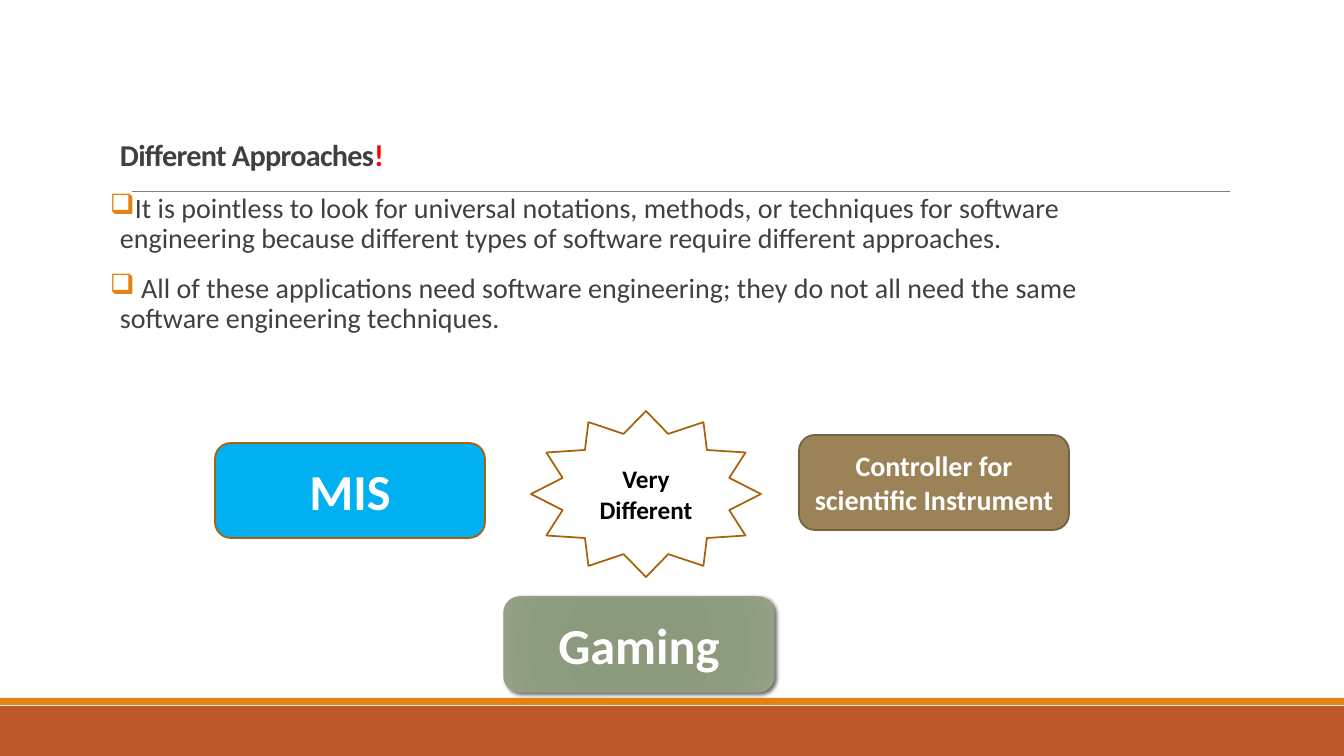
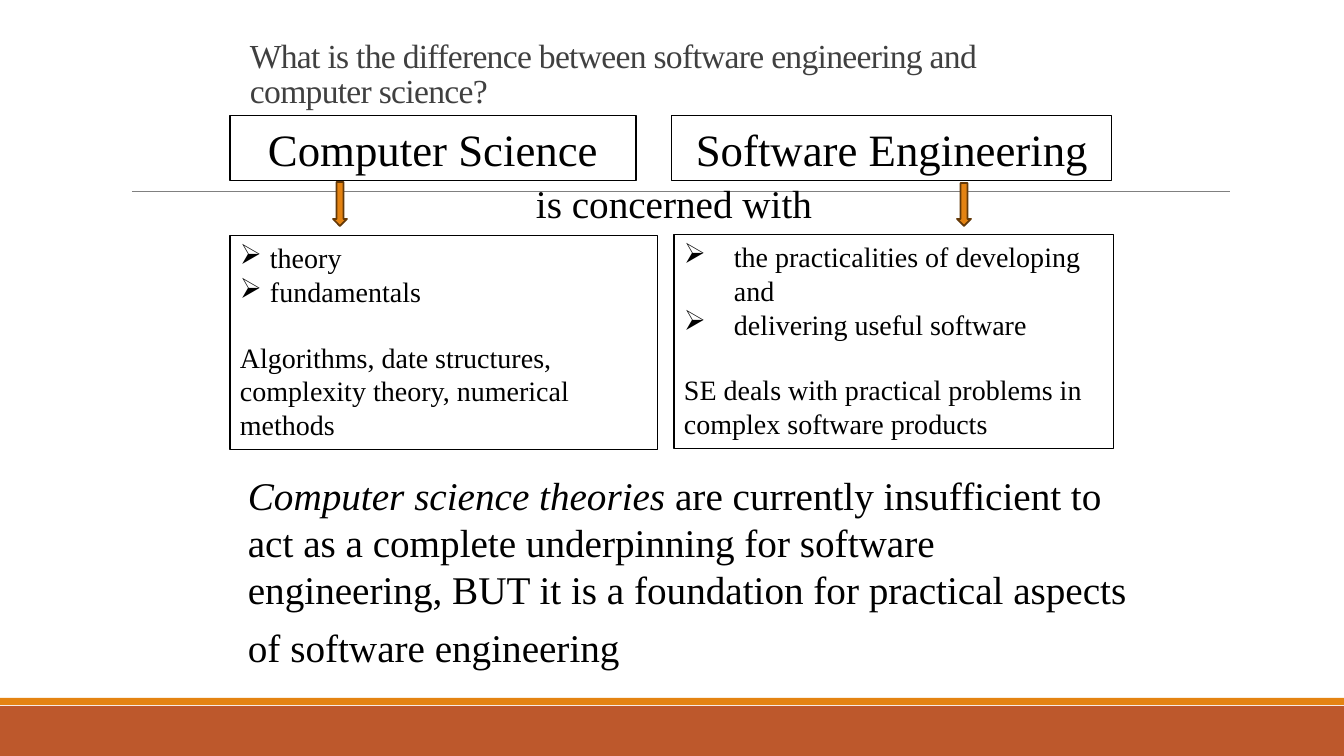
from pptx import Presentation, util as u
from pptx.dml.color import RGBColor
from pptx.enum import shapes, text
from pptx.oxml import parse_xml
from pptx.oxml.ns import nsdecls, qn
from lxml import etree

WIDTH, HEIGHT = 1344, 756
SCALE = u.Inches(40 / 3) / WIDTH
SANS, SERIF = "Calibri", "Times New Roman"
COLORS = {
    "white": "FFFFFF", "black": "000000", "text": "404040", "alert": "FF0000",
    "band": "BD582C", "accent": "E48312", "rule": "808080",
    "outline": "A9610D", "arrow_edge": "643908", "blue": "00B0F0",
    "brown": "9B8357", "brown_edge": "736140", "sage_edge": "94A088",
}
SAGE_STOPS = [(0, "8A987B"), (34, "8B997D"), (70, "8D9C7E"), (100, "94A187")]
SHAPE = shapes.MSO_SHAPE
CENTER = text.PP_ALIGN.CENTER
MIDDLE, BOTTOM = text.MSO_ANCHOR.MIDDLE, text.MSO_ANCHOR.BOTTOM


def px(n):
    return u.Emu(round(n * SCALE))


def rgb(name):
    return RGBColor.from_string(COLORS[name])


def add_box(s, box, kind=SHAPE.RECTANGLE, fill=None, line=None, weight=0.75):
    sp = s.shapes.add_shape(kind, *map(px, box))
    sp.shadow.inherit = False
    if fill:
        sp.fill.solid()
        sp.fill.fore_color.rgb = rgb(fill)
    else:
        sp.fill.background()
    if line:
        sp.line.color.rgb = rgb(line)
        sp.line.width = u.Pt(weight)
    else:
        sp.line.fill.background()
    return sp


def add_textbox(s, box):
    return s.shapes.add_textbox(*map(px, box))


def set_text(sp, content, size, font=SANS, color="black", bold=False,
             align=text.PP_ALIGN.LEFT, anchor=text.MSO_ANCHOR.TOP):
    """Fill a shape with lines of text in one style and return its paragraphs."""
    tf = sp.text_frame
    tf.text = content
    tf.word_wrap = True
    tf.vertical_anchor = anchor
    for p in tf.paragraphs:
        p.alignment = align
        for r in p.runs:
            style_run(r, size, font, color, bold)
    return tf.paragraphs


def style_run(r, size, font, color, bold=False):
    r.font.size = u.Pt(size)
    r.font.name = font
    r.font.bold = bold
    r.font.color.rgb = rgb(color)


def add_bullet(p, char, indent, color):
    pPr = p._p.get_or_add_pPr()
    pPr.set("marL", str(px(indent)))
    pPr.set("indent", str(-px(indent)))
    bu_clr = etree.SubElement(pPr, qn("a:buClr"))
    etree.SubElement(bu_clr, qn("a:srgbClr")).set("val", COLORS[color])
    etree.SubElement(pPr, qn("a:buChar")).set("char", char)


def add_frame(prs):
    """Add a slide with the bottom bands and the rule under the title."""
    s = prs.slides.add_slide(prs.slide_layouts[6])
    add_box(s, (0, 706, WIDTH, 50), fill="band")
    add_box(s, (0, 698, WIDTH, 7), fill="accent")
    rule = s.shapes.add_connector(shapes.MSO_CONNECTOR.STRAIGHT,
                                  px(132), px(191), px(1230), px(191))
    rule.line.color.rgb = rgb("rule")
    rule.line.width = u.Pt(0.5)
    etree.SubElement(rule._element.spPr, qn("a:effectLst"))
    return s


def add_title(s, box, title, size, font, bold=False, ending=""):
    p = set_text(add_textbox(s, box), title, size, font, "text", bold,
                 anchor=BOTTOM)[0]
    p.line_spacing = 0.85
    if ending:
        r = p.add_run()
        r.text = ending
        style_run(r, size, font, "alert", bold)
    for r in p.runs:
        r.font._element.set("spc", "-50")


def add_bullet_list(s, box, items):
    sp = add_textbox(s, box)
    sp.text_frame.margin_left = sp.text_frame.margin_right = 0
    for p in set_text(sp, "\n".join(items), 20, color="text"):
        p.line_spacing = 0.9
        p.space_before, p.space_after = u.Pt(12), u.Pt(2)
        add_bullet(p, "❑", 10, "accent")


def add_sage_style(sp):
    """Give a shape a radial sage gradient and a soft shadow."""
    stops = "".join(f'<a:gs pos="{pos * 1000}"><a:srgbClr val="{c}"/></a:gs>'
                    for pos, c in SAGE_STOPS)
    gradient = parse_xml(
        f'<a:gradFill {nsdecls("a")} rotWithShape="1"><a:gsLst>{stops}</a:gsLst>'
        '<a:path path="circle"><a:fillToRect l="50000" t="50000" r="50000" '
        'b="50000"/></a:path></a:gradFill>')
    spPr = sp._element.spPr
    spPr.replace(spPr.find(qn("a:noFill")), gradient)
    spPr.find(qn("a:effectLst")).append(parse_xml(
        f'<a:outerShdw {nsdecls("a")} blurRad="{u.Pt(3)}" dist="{u.Pt(2)}" '
        'dir="2700000" rotWithShape="0"><a:srgbClr val="000000">'
        '<a:alpha val="60000"/></a:srgbClr></a:outerShdw>'))


def add_applications(s, left, top):
    """Place three kinds of software around a star."""
    cards = [
        ("MIS", 0, 32, 36, "blue", "outline", 1.25),
        ("Controller for scientific Instrument", 584, 24, 20,
         "brown", "brown_edge", 1.25),
        ("Gaming", 289, 186, 36, None, "sage_edge", 1),
    ]
    for label, dx, dy, size, fill, line, weight in cards:
        sp = add_box(s, (left + dx, top + dy, 270, 95),
                     SHAPE.ROUNDED_RECTANGLE, fill, line, weight)
        set_text(sp, label, size, color="white", bold=True,
                 align=CENTER, anchor=MIDDLE)
        if not fill:
            add_sage_style(sp)
    star = add_box(s, (left + 316, top, 230, 166), SHAPE.STAR_12_POINT,
                   "white", "outline", 1.25)
    set_text(star, "Very\nDifferent", 18, bold=True, align=CENTER, anchor=MIDDLE)


def add_field(s, header, body, arrow, name, concerns, summary, indent):
    """Place a field's name, an arrow and a box of its concerns."""
    set_text(add_box(s, header, line="black"), name, 32, SERIF,
             align=CENTER, anchor=MIDDLE)
    paragraphs = set_text(add_box(s, body, line="black"),
                          "\n".join(concerns + summary), 20, SERIF)
    for p in paragraphs[:len(concerns)]:
        add_bullet(p, "➢", indent, "black")
    paragraphs[len(concerns)].space_before = u.Pt(23)
    add_box(s, arrow, SHAPE.DOWN_ARROW, "accent", "arrow_edge", 1.25)


def add_conclusion(s, box):
    first, last = set_text(
        add_textbox(s, box),
        "Computer science theories\nof software engineering", 28, SERIF)
    first.runs[0].font.italic = True
    r = first.add_run()
    r.text = (" are currently insufficient to act as a complete underpinning for "
              "software engineering, BUT it is a foundation for practical aspects")
    style_run(r, 28, SERIF, "black")
    last.space_before = u.Pt(8)


def build_approaches(prs):
    s = add_frame(prs)
    add_title(s, (110, 128, 1159, 50), "Different Approaches", 21.6, SANS,
              bold=True, ending="!")
    add_bullet_list(s, (110, 189, 998, 160), [
        "It is pointless to look for universal notations, methods, or techniques "
        "for software engineering because different types of software require "
        "different approaches.",
        " All of these applications need software engineering; they do not all "
        "need the same software engineering techniques.",
    ])
    add_applications(s, 215, 411)


def build_comparison(prs):
    s = add_frame(prs)
    add_title(s, (240, 50, 857, 65), "What is the difference between software "
              "engineering and computer science?", 24, SERIF)
    add_field(s, (230, 116, 406, 65), (230, 236, 428, 214), (333, 182, 14, 44),
              "Computer Science", ["theory", "fundamentals"],
              ["Algorithms, date structures, complexity theory, numerical methods"],
              30)
    add_field(s, (672, 116, 440, 65), (674, 235, 440, 214), (957, 183, 14, 43),
              "Software Engineering",
              ["the practicalities of developing and", "delivering useful software"],
              ["SE deals with practical problems in", "complex software products"],
              50)
    set_text(add_textbox(s, (478, 174, 392, 57)), "is concerned with", 28, SERIF,
             align=CENTER)
    add_conclusion(s, (238, 466, 907, 214))


def main():
    prs = Presentation()
    prs.slide_width, prs.slide_height = px(WIDTH), px(HEIGHT)
    build_approaches(prs)
    build_comparison(prs)
    prs.save("out.pptx")


if __name__ == "__main__":
    main()
